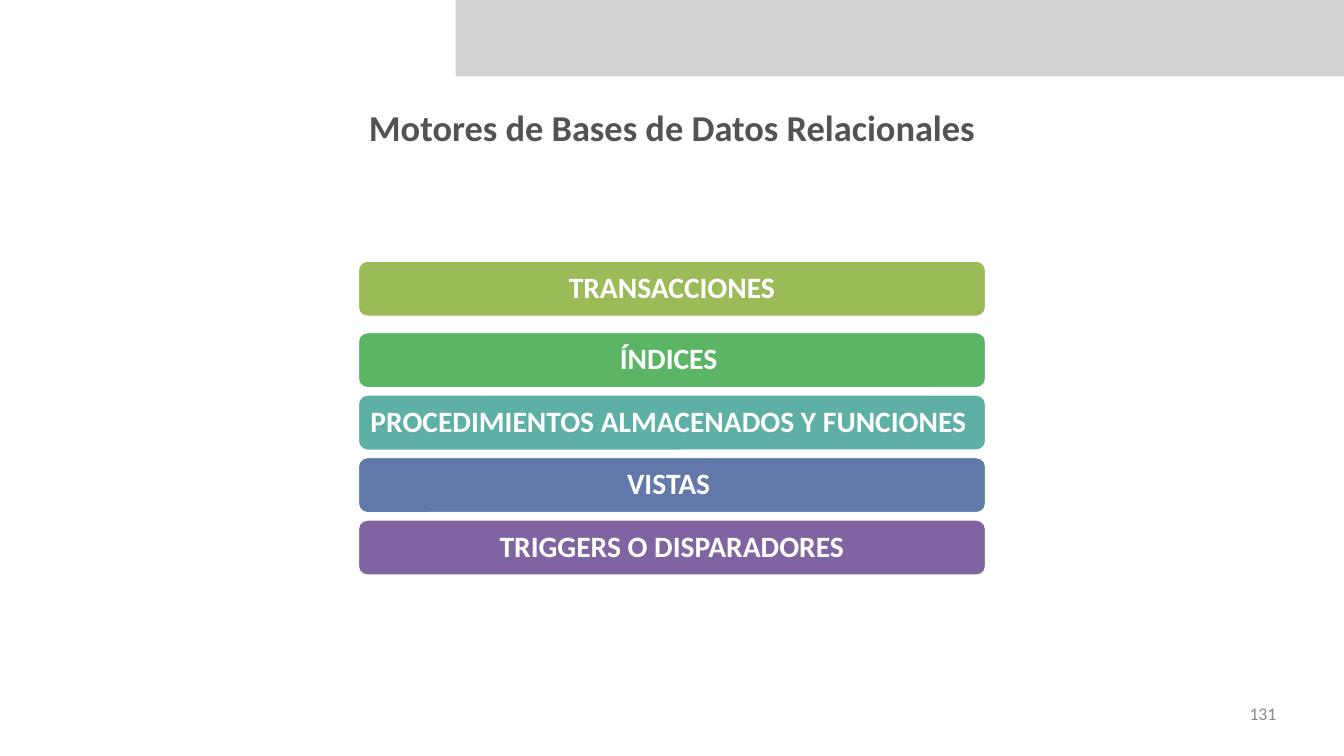
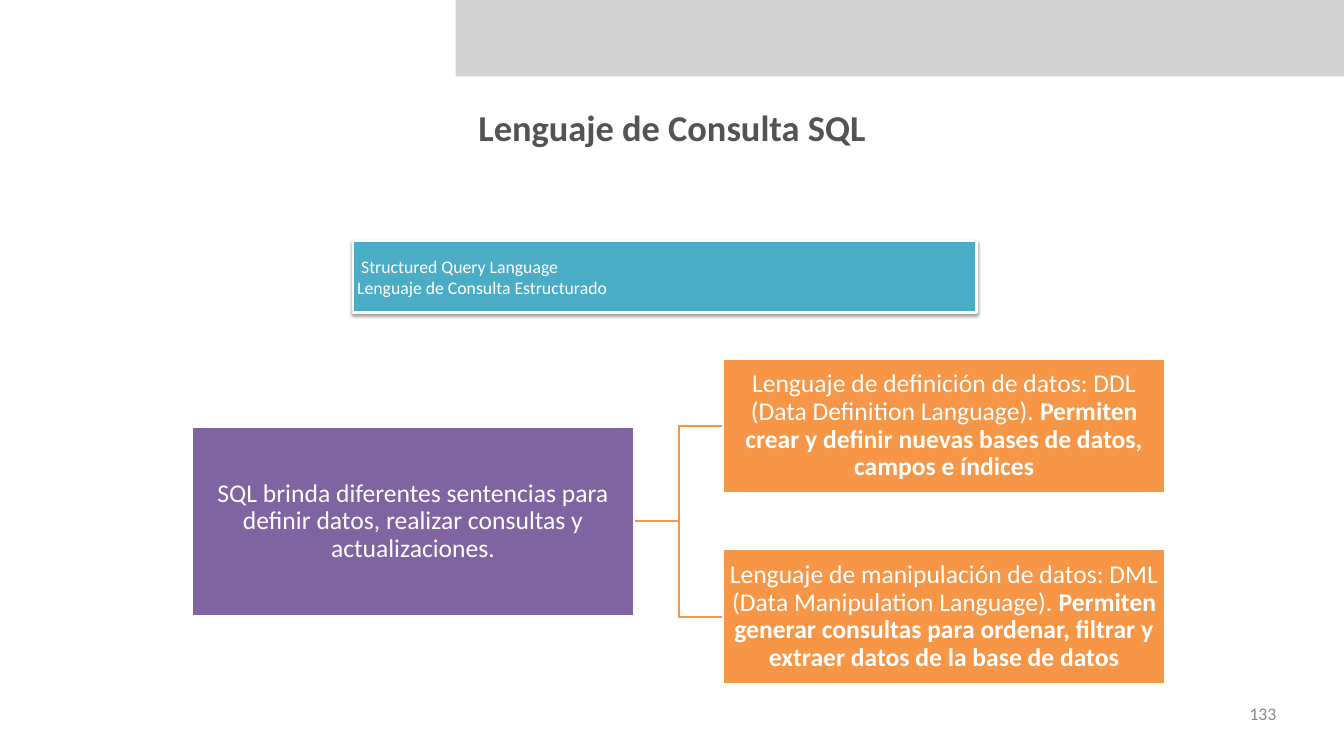
from dataclasses import dataclass

from lxml import etree
from pptx import Presentation
from pptx import util as u
from pptx.dml.color import RGBColor
from pptx.enum import shapes, text
from pptx.oxml import ns
from pptx.shapes.autoshape import Shape
from pptx.slide import Slide


@dataclass(frozen=True)
class Theme:
    font: str = "Calibri"
    white: str = "FFFFFF"
    band: str = "D3D3D3"
    title: str = "535353"
    footer: str = "898989"
    purple: str = "8064A2"
    orange: str = "F79646"
    aqua: str = "4BACC6"
    shadow: str = "000000"
    title_size: int = 37
    bar_size: int = 30
    node_size: int = 26
    small_size: int = 18


@dataclass(frozen=True)
class Area:
    left: float
    top: float
    width: float
    height: float

    def lengths(self) -> tuple[u.Length, ...]:
        return u.Cm(self.left), u.Cm(self.top), u.Cm(self.width), u.Cm(self.height)


@dataclass(frozen=True)
class Span:
    words: str
    bold: bool = False


@dataclass(frozen=True)
class Bar:
    label: str
    fill: str
    top: float


@dataclass(frozen=True)
class Leaf:
    name: str
    purpose: str
    middle: float


THEME = Theme()
PAGE_WIDTH, PAGE_HEIGHT = 48.16, 27.1
BAND = Area(16.33, 0, PAGE_WIDTH - 16.33, 2.74)
TITLE = Area(9.55, 3.63, 29.06, 1.85)
NUMBER = Area(34.67, 25.2, 11.07, 0.76)

BAR_LEFT, BAR_WIDTH, BAR_HEIGHT = 12.83, 22.5, 2.0
BAR_PITCH = 2.24
FIRST_BAR, SECOND_BAR = 9.35, 11.91
TOPICS = (
    ("ÍNDICES ", "5CB565"),
    ("PROCEDIMIENTOS ALMACENADOS Y FUNCIONES ", "5EAFA6"),
    ("VISTAS ", "6179A8"),
    ("TRIGGERS O DISPARADORES", THEME.purple),
)
BARS = (
    Bar("TRANSACCIONES", "9BBB59", FIRST_BAR),
    *(Bar(label, fill, SECOND_BAR + row * BAR_PITCH)
      for row, (label, fill) in enumerate(TOPICS)),
)

BANNER = Area(12.65, 8.64, 22.33, 2.57)
NODE_WIDTH = 15.85
ROOT_LEFT, ROOT_HEIGHT = 6.88, 6.76
LEAF_LEFT, LEAF_HEIGHT = 25.91, 4.83
TREE_MIDDLE, LEAF_OFFSET = 18.69, 3.42
LEAVES = (
    Leaf("Lenguaje de definición de datos: DDL (Data Definition Language). ",
         "Permiten crear y definir nuevas bases de datos, campos e índices",
         TREE_MIDDLE - LEAF_OFFSET),
    Leaf("Lenguaje de manipulación de datos: DML (Data Manipulation Language).",
         " Permiten generar consultas para ordenar, filtrar y extraer datos de la base de datos",
         TREE_MIDDLE + LEAF_OFFSET),
)


def write(box: Shape, *lines: list[Span], size: int, color: str = THEME.white,
          align: text.PP_ALIGN = text.PP_ALIGN.CENTER, inset: float = 0,
          anchor: text.MSO_ANCHOR = text.MSO_ANCHOR.MIDDLE, spacing: float = 1.0) -> None:
    frame = box.text_frame
    frame.word_wrap = True
    frame.vertical_anchor = anchor
    frame.margin_left = frame.margin_right = u.Cm(inset)
    frame.margin_top = frame.margin_bottom = u.Cm(inset)
    for index, line in enumerate(lines):
        para = frame.add_paragraph() if index else frame.paragraphs[0]
        para.alignment = align
        para.line_spacing = spacing
        for span in line:
            run = para.add_run()
            run.text = span.words
            run.font.name = THEME.font
            run.font.size = u.Pt(size)
            run.font.bold = span.bold
            run.font.color.rgb = RGBColor.from_string(color)


def add_box(page: Slide, area: Area, fill: str, border: float = 0,
            kind: shapes.MSO_SHAPE = shapes.MSO_SHAPE.RECTANGLE) -> Shape:
    box = page.shapes.add_shape(kind, *area.lengths())
    box.shadow.inherit = False
    box.fill.solid()
    box.fill.fore_color.rgb = RGBColor.from_string(fill)
    if border:
        box.line.color.rgb = RGBColor.from_string(THEME.white)
        box.line.width = u.Pt(border)
    else:
        box.line.fill.background()
    return box


def add_page(deck: Presentation, title: str, number: int) -> Slide:
    page = deck.slides.add_slide(deck.slide_layouts[6])
    add_box(page, BAND, THEME.band)
    write(page.shapes.add_textbox(*TITLE.lengths()), [Span(title, True)],
          size=THEME.title_size, color=THEME.title, inset=0.15)
    write(page.shapes.add_textbox(*NUMBER.lengths()), [Span(str(number))],
          size=THEME.small_size, color=THEME.footer,
          align=text.PP_ALIGN.RIGHT, anchor=text.MSO_ANCHOR.TOP)
    return page


def add_bar(page: Slide, bar: Bar) -> None:
    area = Area(BAR_LEFT, bar.top, BAR_WIDTH, BAR_HEIGHT)
    box = add_box(page, area, bar.fill, 2, shapes.MSO_SHAPE.ROUNDED_RECTANGLE)
    write(box, [Span(bar.label, True)], size=THEME.bar_size, inset=0.3, spacing=0.9)


def add_node(page: Slide, left: float, middle: float, height: float,
             fill: str, *spans: Span) -> None:
    box = add_box(page, Area(left, middle - height / 2, NODE_WIDTH, height), fill, 2)
    write(box, list(spans), size=THEME.node_size, inset=0.05, spacing=0.9)


def add_branch(page: Slide, leaf: Leaf) -> None:
    branch = page.shapes.add_connector(
        shapes.MSO_CONNECTOR.ELBOW, u.Cm(ROOT_LEFT + NODE_WIDTH), u.Cm(TREE_MIDDLE),
        u.Cm(LEAF_LEFT), u.Cm(leaf.middle))
    branch.line.color.rgb = RGBColor.from_string(THEME.orange)
    branch.line.width = u.Pt(2)
    etree.SubElement(branch._element.spPr, ns.qn("a:effectLst"))


def cast_shadow(box: Shape) -> None:
    effects = box._element.spPr.find(ns.qn("a:effectLst"))
    shadow = etree.SubElement(effects, ns.qn("a:outerShdw"), blurRad=str(u.Pt(3.1)),
                              dist=str(u.Pt(1.6)), dir="5400000", rotWithShape="0")
    color = etree.SubElement(shadow, ns.qn("a:srgbClr"), val=THEME.shadow)
    etree.SubElement(color, ns.qn("a:alpha"), val="38000")


def add_engines_page(deck: Presentation) -> None:
    page = add_page(deck, "Motores de Bases de Datos Relacionales", 131)
    for bar in BARS:
        add_bar(page, bar)


def add_language_page(deck: Presentation) -> None:
    page = add_page(deck, "Lenguaje de Consulta SQL", 133)
    banner = add_box(page, BANNER, THEME.aqua, 3)
    cast_shadow(banner)
    write(banner, [Span(" Structured Query Language")],
          [Span("Lenguaje de Consulta Estructurado")],
          size=THEME.small_size, align=text.PP_ALIGN.LEFT, inset=0.15)
    for leaf in LEAVES:
        add_branch(page, leaf)
    add_node(page, ROOT_LEFT, TREE_MIDDLE, ROOT_HEIGHT, THEME.purple,
             Span("SQL brinda diferentes sentencias para definir datos, "
                  "realizar consultas y actualizaciones."))
    for leaf in LEAVES:
        add_node(page, LEAF_LEFT, leaf.middle, LEAF_HEIGHT, THEME.orange,
                 Span(leaf.name), Span(leaf.purpose, True))


def main() -> None:
    deck = Presentation()
    deck.slide_width, deck.slide_height = u.Cm(PAGE_WIDTH), u.Cm(PAGE_HEIGHT)
    add_engines_page(deck)
    add_language_page(deck)
    deck.save("out.pptx")


if __name__ == "__main__":
    main()
